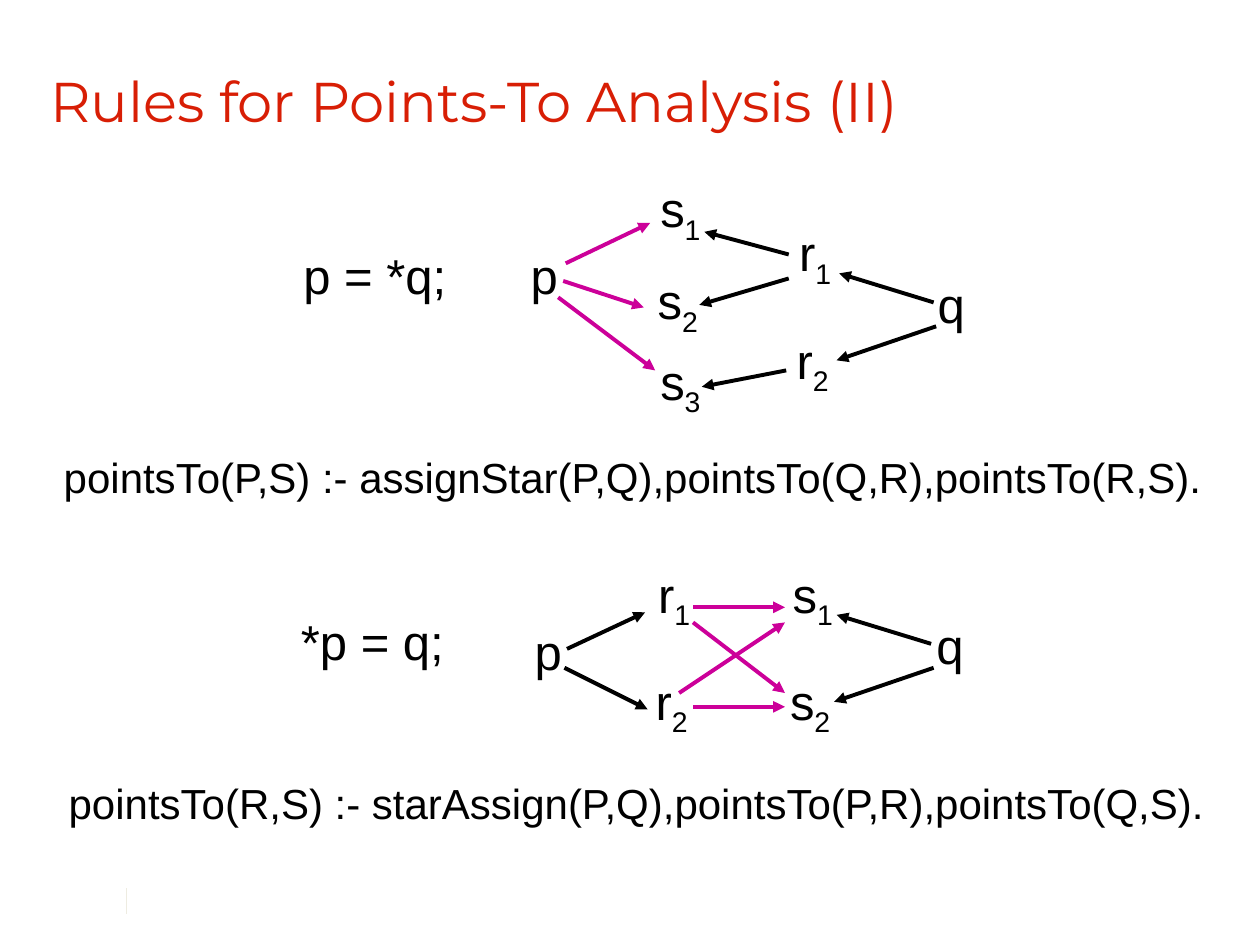
from dataclasses import dataclass

from lxml import etree
from pptx import Presentation
from pptx.dml.color import RGBColor
from pptx.enum.shapes import MSO_CONNECTOR
from pptx.enum.text import MSO_ANCHOR, MSO_AUTO_SIZE, PP_ALIGN
from pptx.oxml.ns import qn
from pptx.shapes.connector import Connector
from pptx.shapes.shapetree import GroupShapes, SlideShapes
from pptx.util import Inches, Pt

STRAIGHT = MSO_CONNECTOR.STRAIGHT
TOP = MSO_ANCHOR.TOP
MIDDLE = MSO_ANCHOR.MIDDLE
CENTER = PP_ALIGN.CENTER
LEFT = PP_ALIGN.LEFT
FIT_SHAPE = MSO_AUTO_SIZE.SHAPE_TO_FIT_TEXT
FIXED = MSO_AUTO_SIZE.NONE

BLACK = "000000"
MAGENTA = "CC0099"
RED = "D81E05"
PALE = "EEECE1"
NODE_HEIGHT = 0.57
NODE_WIDTHS = {"p": 0.42, "q": 0.42, "r": 0.48, "s": 0.54}
STATEMENT_WIDTH = 1.35


@dataclass
class Label:
    text: str
    left: float
    top: float
    width: float
    height: float
    size: float = 28
    subscript: str = ""
    font: str = "Arial"
    color: str = BLACK
    align: PP_ALIGN = CENTER
    anchor: MSO_ANCHOR = MIDDLE
    wrap: bool = False


@dataclass
class Arrow:
    x1: float
    y1: float
    x2: float
    y2: float
    color: str = BLACK


@dataclass
class Diagram:
    labels: list[Label]
    arrows: list[Arrow]


def rgb(value: str) -> RGBColor:
    return RGBColor.from_string(value)


def node(name: str, left: float, top: float) -> Label:
    return Label(name[0], left, top, NODE_WIDTHS[name[0]], NODE_HEIGHT, subscript=name[1:])


def statement(text: str, left: float, top: float) -> Label:
    return Label(text, left, top, STATEMENT_WIDTH, NODE_HEIGHT)


def draw_label(shapes: SlideShapes | GroupShapes, label: Label) -> None:
    box = shapes.add_textbox(
        Inches(label.left), Inches(label.top), Inches(label.width), Inches(label.height)
    )
    frame = box.text_frame
    frame.word_wrap = label.wrap
    frame.auto_size = FIXED if label.wrap else FIT_SHAPE
    frame.vertical_anchor = label.anchor
    para = frame.paragraphs[0]
    para.alignment = label.align
    para.font.name = label.font
    para.font.size = Pt(label.size)
    para.font.color.rgb = rgb(label.color)
    para.add_run().text = label.text
    if label.subscript:
        span = para.add_run()
        span.text = label.subscript
        span.font._element.set("baseline", "-25000")


def draw_line(
    shapes: SlideShapes | GroupShapes, arrow: Arrow, width: float
) -> Connector:
    line = shapes.add_connector(
        STRAIGHT, Inches(arrow.x1), Inches(arrow.y1), Inches(arrow.x2), Inches(arrow.y2)
    )
    line.line.color.rgb = rgb(arrow.color)
    line.line.width = Pt(width)
    etree.SubElement(line._element.spPr, qn("a:effectLst"))
    return line


def draw_arrow(shapes: GroupShapes, arrow: Arrow) -> None:
    line = draw_line(shapes, arrow, 2.25)
    etree.SubElement(line.line._get_or_add_ln(), qn("a:tailEnd"), type="triangle")


def draw_diagram(shapes: SlideShapes, diagram: Diagram) -> None:
    group = shapes.add_group_shape()
    for label in diagram.labels:
        draw_label(group.shapes, label)
    for arrow in diagram.arrows:
        draw_arrow(group.shapes, arrow)


TITLE = Label(
    "Rules for Points-To Analysis (II)", 0.3, 0.48, 9.4, 0.94, 32,
    font="Montserrat", color=RED, align=LEFT, anchor=TOP, wrap=True,
)
RULES = [
    Label("pointsTo(P,S) :- assignStar(P,Q),pointsTo(Q,R),pointsTo(R,S).",
          0.36, 3.53, 9.32, 0.5, 24),
    Label("pointsTo(R,S) :- starAssign(P,Q),pointsTo(P,R),pointsTo(Q,S).",
          0.4, 6.12, 9.3, 0.5, 24),
]
LOAD = Diagram(
    [
        statement("p = *q;", 2.3, 1.9),
        node("p", 4.11, 1.9),
        node("s1", 5.13, 1.4),
        node("s2", 5.11, 2.13),
        node("s3", 5.13, 2.77),
        node("r1", 6.23, 1.75),
        node("r2", 6.21, 2.6),
        node("q", 7.34, 2.13),
    ],
    [
        Arrow(4.49, 2.09, 5.16, 1.77, MAGENTA),
        Arrow(4.47, 2.23, 5.11, 2.44, MAGENTA),
        Arrow(4.43, 2.36, 5.2, 2.94, MAGENTA),
        Arrow(7.41, 2.4, 6.66, 2.17),
        Arrow(7.43, 2.59, 6.64, 2.86),
        Arrow(6.26, 2.02, 5.59, 1.84),
        Arrow(6.26, 2.21, 5.55, 2.42),
        Arrow(6.24, 2.94, 5.57, 3.07),
    ],
)
STORE = Diagram(
    [
        statement("*p = q;", 2.28, 4.8),
        node("p", 4.14, 4.88),
        node("r1", 5.11, 4.46),
        node("r2", 5.09, 5.31),
        node("s1", 6.18, 4.46),
        node("s2", 6.16, 5.31),
        node("q", 7.33, 4.83),
    ],
    [
        Arrow(4.5, 5.15, 5.12, 4.86),
        Arrow(4.48, 5.3, 5.14, 5.63),
        Arrow(7.39, 5.11, 6.64, 4.88),
        Arrow(7.41, 5.3, 6.62, 5.57),
        Arrow(5.5, 4.82, 6.23, 4.82, MAGENTA),
        Arrow(5.5, 5.61, 6.23, 5.61, MAGENTA),
        Arrow(5.5, 4.94, 6.23, 5.5, MAGENTA),
        Arrow(5.39, 5.5, 6.23, 4.94, MAGENTA),
    ],
)
FOOTER_RULE = Arrow(1, 7.05, 1, 7.25, PALE)


def main() -> None:
    deck = Presentation()
    deck.slide_width = Inches(10)
    deck.slide_height = Inches(7.5)
    page = deck.slides.add_slide(deck.slide_layouts[6])
    draw_line(page.shapes, FOOTER_RULE, 0.25)
    for label in [TITLE, *RULES]:
        draw_label(page.shapes, label)
    for diagram in (LOAD, STORE):
        draw_diagram(page.shapes, diagram)
    deck.save("out.pptx")


if __name__ == "__main__":
    main()
